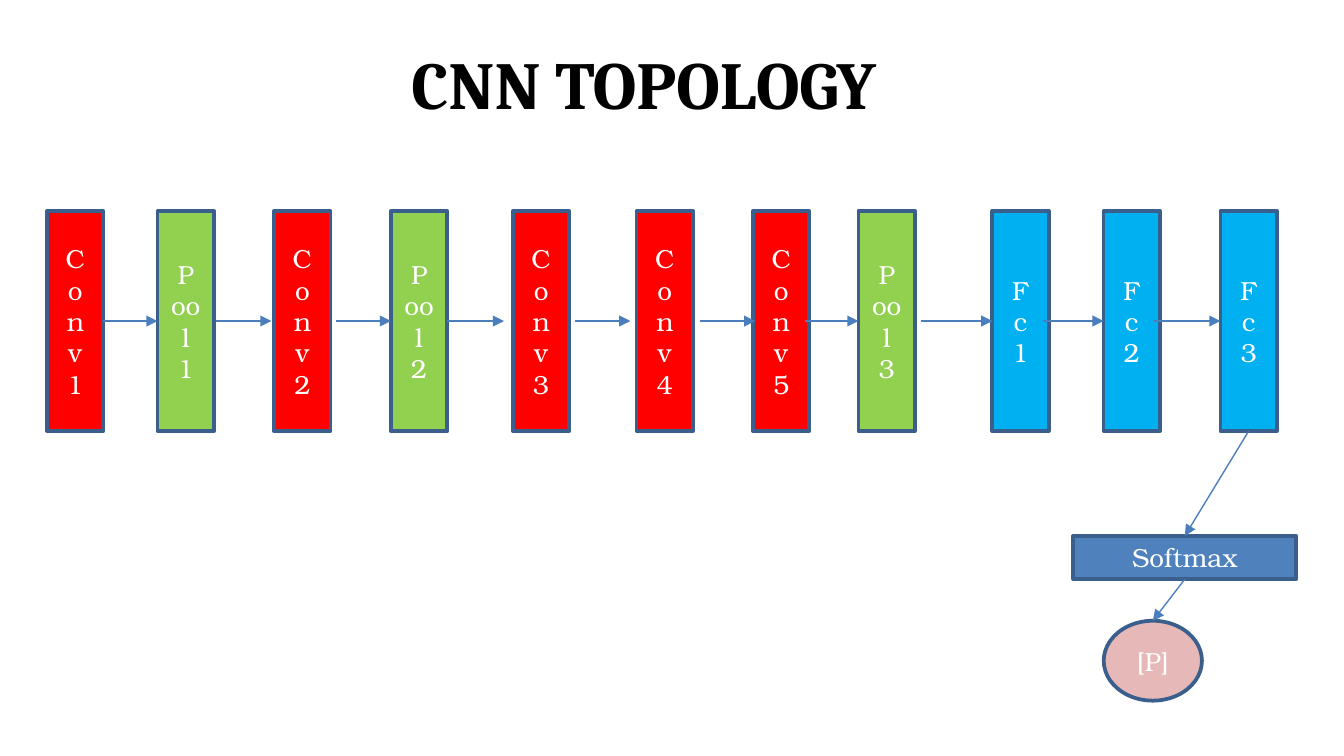
from lxml.etree import SubElement
from pptx import Presentation
from pptx.dml.color import RGBColor
from pptx.enum.shapes import MSO_CONNECTOR, MSO_SHAPE
from pptx.enum.text import MSO_ANCHOR, PP_ALIGN
from pptx.oxml.ns import qn
from pptx.util import Pt

TOP, LEFT, BOTTOM, RIGHT = range(4)
LAYER_TOP, LAYER_WIDTH, LAYER_HEIGHT = 113, 30.2, 118
FLOW_Y = LAYER_TOP + LAYER_HEIGHT / 2
CONV, POOL, DENSE = "FF0000", "92D050", "00B0F0"

LAYERS = [
    ("Conv 1", CONV, 25.2),
    ("Poo l 1", POOL, 84.4),
    ("Conv 2", CONV, 146.9),
    ("Poo l 2", POOL, 209.4),
    ("Conv 3", CONV, 274.8),
    ("Conv 4", CONV, 341),
    ("Conv 5", CONV, 403.4),
    ("Poo l 3", POOL, 459.9),
    ("Fc 1", DENSE, 531.6),
    ("Fc 2", DENSE, 591.2),
    ("Fc 3", DENSE, 653.8),
]

# Horizontal ends of the arrow after each layer; None joins the layer's side.
FLOW = [
    (None, None), (115.9, 145.4), (180, None), (None, 270), (308.2, 337.7),
    (375.1, 404.6), (431.3, None), (493.2, None), (558.7, None), (617.8, None),
]


def color(hex_text):
    return RGBColor.from_string(hex_text)


class Diagram:
    label_font = "TeX Gyre Bonum"
    title_font = "Cambria"
    outline = "3A5F8C"
    arrow_color = "4B7EBC"

    def __init__(self, slide):
        self.slide = slide

    def label(self, shape, text, font, size, ink, bold=False):
        frame = shape.text_frame
        frame.word_wrap = True
        frame.text = text
        para = frame.paragraphs[0]
        para.alignment = PP_ALIGN.CENTER
        span = para.runs[0]
        span.font.name = font
        span.font.size = Pt(size)
        span.font.bold = bold
        span.font.color.rgb = color(ink)

    def title(self, text, left, top, width, height):
        box = self.slide.shapes.add_textbox(Pt(left), Pt(top), Pt(width), Pt(height))
        self.label(box, text, self.title_font, 36, "000000", bold=True)

    def node(self, text, fill, left, top, width, height, kind=MSO_SHAPE.RECTANGLE):
        box = self.slide.shapes.add_shape(kind, Pt(left), Pt(top), Pt(width), Pt(height))
        box.shadow.inherit = False
        box.fill.solid()
        box.fill.fore_color.rgb = color(fill)
        box.line.color.rgb = color(self.outline)
        box.line.width = Pt(2)
        box.text_frame.vertical_anchor = MSO_ANCHOR.MIDDLE
        self.label(box, text, self.label_font, 14, "FFFFFF")
        return box

    def arrow(self, source, source_side, target, target_side, start_x=None, end_x=None):
        """Joins two nodes; an end with a given x stays free on the flow line."""
        connector = self.slide.shapes.add_connector(
            MSO_CONNECTOR.STRAIGHT,
            Pt(start_x or 0), Pt(FLOW_Y), Pt(end_x or 0), Pt(FLOW_Y))
        if start_x is None:
            connector.begin_connect(source, source_side)
        if end_x is None:
            connector.end_connect(target, target_side)
        connector.line.color.rgb = color(self.arrow_color)
        connector.line.width = Pt(0.75)
        properties = connector._element.spPr
        SubElement(properties.find(qn("a:ln")), qn("a:tailEnd"), type="triangle")
        SubElement(properties, qn("a:effectLst"))


def main():
    deck = Presentation()
    deck.slide_width, deck.slide_height = Pt(720), Pt(405)
    page = Diagram(deck.slides.add_slide(deck.slide_layouts[6]))

    layers = [page.node(text, fill, left, LAYER_TOP, LAYER_WIDTH, LAYER_HEIGHT)
              for text, fill, left in LAYERS]
    for source, target, (start_x, end_x) in zip(layers, layers[1:], FLOW):
        page.arrow(source, RIGHT, target, LEFT, start_x, end_x)

    softmax = page.node("Softmax", "4F81BD", 575, 287.1, 119.5, 23.2)
    output = page.node("[P]", "E6B9B8", 591.3, 332.6, 52.6, 42.8, MSO_SHAPE.OVAL)
    page.arrow(layers[-1], BOTTOM, softmax, TOP)
    page.arrow(softmax, BOTTOM, output, TOP)

    page.title("CNN TOPOLOGY", 72, 19.4, 545.8, 50.4)
    deck.save("out.pptx")


if __name__ == "__main__":
    main()
